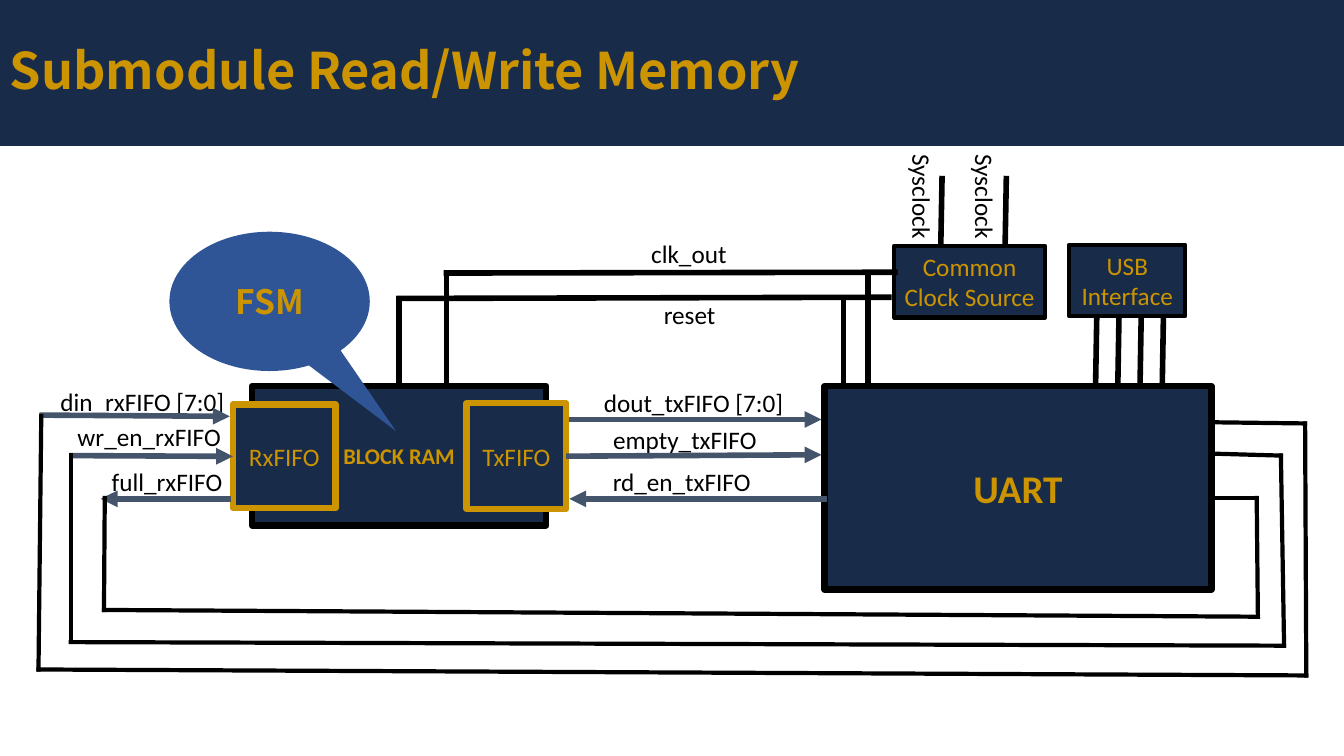
from dataclasses import dataclass
from itertools import pairwise

from lxml import etree
from pptx import Presentation
from pptx.dml.color import RGBColor
from pptx.enum.shapes import MSO_CONNECTOR as Link, MSO_SHAPE as Preset
from pptx.enum.text import MSO_ANCHOR as Anchor, PP_ALIGN as Align
from pptx.oxml.ns import qn
from pptx.util import Cm, Pt


@dataclass(frozen=True)
class Theme:
    navy: str = "182B49"
    gold: str = "CB9400"
    blue: str = "2F5597"
    slate: str = "44546A"
    black: str = "000000"
    body: str = "Calibri"
    heading: str = "Noto Sans CJK TC"
    title_size: int = 36
    uart_size: int = 28
    state_size: int = 24
    label_size: int = 18
    memory_size: int = 16


THEME = Theme()
TOP, LEFT, RIGHT = 0, 1, 3  # connection sites of a rectangle


class Diagram:
    """Holds the theme and the current slide."""

    def __init__(self, page, theme):
        self.page, self.theme = page, theme

    def set_text(self, frame, text, color, align=Align.CENTER, spacing=None, **formats):
        frame.text = text
        style = {"name": self.theme.body, "size": self.theme.label_size, "bold": False} | formats
        style["size"] = Pt(style["size"])
        for para in frame.paragraphs:
            para.alignment = align
            if spacing:
                para.line_spacing = spacing
            for key, value in style.items():
                setattr(para.font, key, value)
            para.font.color.rgb = RGBColor.from_string(color)

    def block(self, text, place, border=None, width=4.5, preset=Preset.RECTANGLE,
              fill=None, inset=0.2, **formats):
        box = self.page.shapes.add_shape(preset, *map(Cm, place))
        box.shadow.inherit = False
        box.fill.solid()
        box.fill.fore_color.rgb = RGBColor.from_string(fill or self.theme.navy)
        if border:
            box.line.color.rgb = RGBColor.from_string(border)
            box.line.width = Pt(width)
        else:
            box.line.fill.background()
        frame_values = {"word_wrap": True, "vertical_anchor": Anchor.MIDDLE,
                        "margin_left": Cm(inset), "margin_right": Cm(inset)}
        for key, value in frame_values.items():
            setattr(box.text_frame, key, value)
        self.set_text(box.text_frame, text, self.theme.gold, **formats)
        return box

    def label(self, text, left, top, width=5.2, rotation=0, **formats):
        box = self.page.shapes.add_textbox(Cm(left), Cm(top), Cm(width), Cm(1.02))
        box.rotation = rotation
        box.text_frame.word_wrap = True
        self.set_text(box.text_frame, text, self.theme.black, **formats)

    def line(self, start, end, color, width):
        line = self.page.shapes.add_connector(Link.STRAIGHT, *map(Cm, (*start, *end)))
        line.line.color.rgb = RGBColor.from_string(color)
        line.line.width = Pt(width)
        etree.SubElement(line._element.spPr, qn("a:effectLst"))
        return line

    def arrow(self, start, end):
        arrow = self.line(start, end, self.theme.slate, 4)
        outline = arrow._element.spPr.find(qn("a:ln"))
        etree.SubElement(outline, qn("a:tailEnd"), type="triangle")
        return arrow

    def wire(self, *points, width=4):
        wires = [self.line(start, end, self.theme.black, width)
                 for start, end in pairwise(points)]
        for wire in wires:
            wire._element.spPr.find(qn("a:ln")).set("cap", "sq")  # closes the corners
        return wires


def main():
    deck = Presentation()
    deck.slide_width, deck.slide_height = Cm(33.87), Cm(19.05)
    page = deck.slides.add_slide(deck.slide_layouts[6])
    diagram = Diagram(page, THEME)

    # Title band
    diagram.block("Submodule Read/Write Memory", (0, 0, 33.87, 3.68), inset=0.25,
                  align=Align.LEFT, spacing=0.9, name=THEME.heading,
                  size=THEME.title_size, bold=True)

    # Memory, FIFOs and UART
    memory = diagram.block("BLOCK RAM", (6.35, 9.73, 7.42, 3.51), THEME.black,
                           size=THEME.memory_size, bold=True)
    diagram.block("UART", (20.78, 9.73, 9.75, 5.13), THEME.black,
                  size=THEME.uart_size, bold=True)
    transmit = diagram.block("TxFIFO", (11.76, 10.16, 2.51, 2.67), THEME.gold)
    receive = diagram.block("RxFIFO", (5.87, 10.19, 2.59, 2.62), THEME.gold)

    # Signal names
    for text, left, top in (
        ("din_rxFIFO [7:0]", 0.99, 9.6),
        ("wr_en_rxFIFO", 1.16, 10.49),
        ("full_rxFIFO", 1.61, 11.63),
        ("dout_txFIFO [7:0]", 14.88, 9.63),
        ("empty_txFIFO", 14.66, 10.57),
        ("rd_en_txFIFO", 14.58, 11.63),
        ("clk_out", 14.76, 5.89),
        ("reset", 14.78, 7.42),
    ):
        diagram.label(text, left, top)

    # Signal arrows
    diagram.arrow((0.99, 10.46), (5.79, 10.49))
    diagram.arrow((1.75, 11.48), (5.79, 11.46)).end_connect(receive, LEFT)
    diagram.arrow((5.82, 12.57), (2.54, 12.57))
    diagram.arrow((14.35, 10.57), (20.7, 10.57))
    diagram.arrow((14.35, 11.46), (20.7, 11.46)).begin_connect(transmit, RIGHT)
    diagram.arrow((20.83, 12.57), (14.35, 12.57))

    # Loops from the UART back to the receive side
    for loop in (
        ((30.51, 12.55), (31.67, 12.55), (31.7, 15.54), (2.62, 15.37), (2.64, 12.55)),
        ((30.53, 11.43), (32.28, 11.48), (32.36, 16.27), (1.78, 16.18), (1.78, 11.48)),
        ((30.51, 10.64), (32.89, 10.67), (32.92, 17.02), (0.97, 16.87), (1.04, 10.48)),
    ):
        diagram.wire(*loop, width=3)

    # USB interface and its four pins
    for pin in range(4):
        left = 27.64 + 0.56 * pin
        diagram.wire((left, 7.95), (left - 0.03, 9.7))
    diagram.block("USB\nInterface", (26.95, 6.17, 2.92, 1.8), THEME.black, 3)

    # Clock source with its clock and reset lines
    diagram.block("Common Clock Source", (22.53, 6.2, 3.81, 1.8), THEME.black, 3)
    diagram.wire((22.55, 6.86), (11.25, 6.88), (11.25, 9.73))
    reset_drop = diagram.wire((22.4, 7.49), (10.06, 7.52), (10.06, 9.73))[-1]
    reset_drop.end_connect(memory, TOP)
    diagram.wire((21.26, 7.52), (21.26, 9.73))
    diagram.wire((21.87, 6.88), (21.87, 9.73))

    # System clock inputs
    for index in range(2):
        left = 23.74 + 1.62 * index
        diagram.wire((left, 4.5), (left - 0.03, 6.17))
        diagram.label("Sysclock", 21.41 + 1.58 * index, 3.92, width=3.66,
                      rotation=90, align=Align.RIGHT)

    # State machine callout
    callout = diagram.block("FSM", (4.27, 5.84, 5.05, 3.51), fill=THEME.blue,
                            preset=Preset.OVAL_CALLOUT, name=THEME.heading,
                            size=THEME.state_size, bold=True)
    for index, value in enumerate((0.63, 0.93)):
        callout.adjustments[index] = value

    deck.save("out.pptx")


if __name__ == "__main__":
    main()
